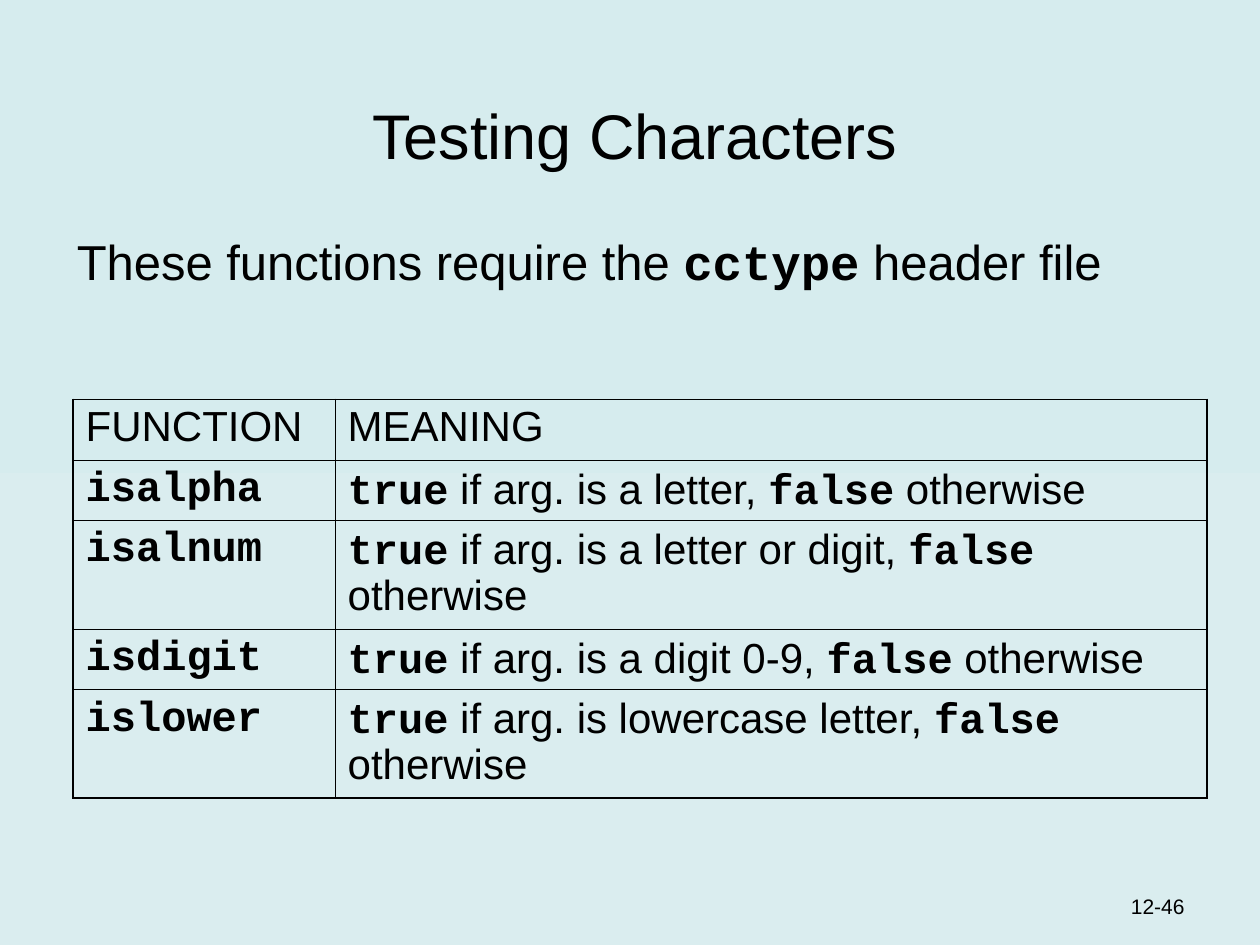
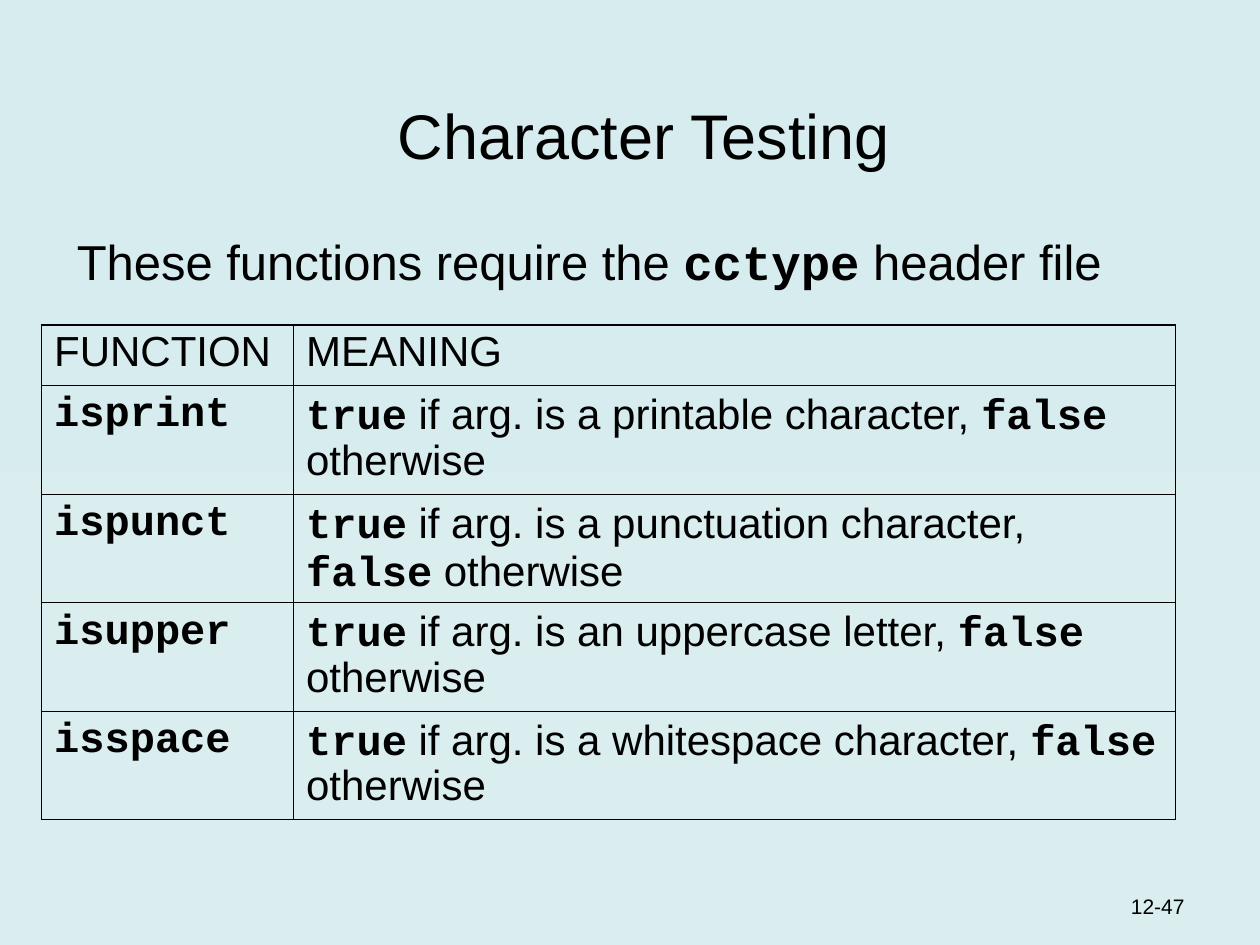
from dataclasses import dataclass

from lxml import etree
from pptx import Presentation
from pptx.dml.color import RGBColor
from pptx.enum.text import MSO_ANCHOR, MSO_AUTO_SIZE, PP_ALIGN
from pptx.oxml.ns import qn
from pptx.util import Inches, Pt

TOP, BOTTOM = MSO_ANCHOR.TOP, MSO_ANCHOR.BOTTOM
LEFT, CENTER, RIGHT = PP_ALIGN.LEFT, PP_ALIGN.CENTER, PP_ALIGN.RIGHT
NO_AUTOFIT = MSO_AUTO_SIZE.NONE
TITLE_AND_CONTENT = 1


@dataclass(frozen=True)
class Theme:
    ink: str = "000000"
    background_bottom: str = "DAEDEF"
    background_top: str = "D6ECEE"
    text_font: str = "Arial"
    code_font: str = "Courier New"
    title_size: float = 36
    body_size: float = 28
    table_size: float = 24
    number_size: float = 12
    outer_line: float = 1.08
    inner_line: float = 0.45


@dataclass(frozen=True)
class Area:
    left: float
    top: float
    width: float
    height: float


@dataclass(frozen=True)
class CharacterTest:
    function: str
    accepts: str
    height: float


@dataclass(frozen=True)
class TestPage:
    title: str
    title_inset: float
    number: str
    table_left: float
    table_top: float
    columns: tuple[float, float]
    tests: tuple[CharacterTest, ...]


THEME = Theme()
TITLE_AREA = Area(0.33, 0.33, 9.42, 1.09)
BODY_AREA = Area(0.51, 1.75, 8.63, 0.65)
NUMBER_AREA = Area(7.42, 6.84, 2.08, 0.5)
ONE_LINE, TWO_LINES = 0.48, 0.86
# Backquotes mark code within a sentence
REQUIREMENT = "These functions require the `cctype` header file"
HEADINGS = ("FUNCTION", "MEANING")

PAGES = (
    TestPage("Testing Characters", 0.1, "12-46", 0.58, 3.17, (2.08, 6.92), (
        CharacterTest("isalpha", "a letter", ONE_LINE),
        CharacterTest("isalnum", "a letter or digit", TWO_LINES),
        CharacterTest("isdigit", "a digit 0-9", ONE_LINE),
        CharacterTest("islower", "lowercase letter", TWO_LINES),
    )),
    TestPage("Character Testing", 0.24, "12-47", 0.33, 2.58, (2, 7), (
        CharacterTest("isprint", "a printable character", TWO_LINES),
        CharacterTest("ispunct", "a punctuation character", TWO_LINES),
        CharacterTest("isupper", "an uppercase letter", TWO_LINES),
        CharacterTest("isspace", "a whitespace character", TWO_LINES),
    )),
)


def write(para, text: str, size: float, align=LEFT) -> None:
    """Write a sentence, setting backquoted words in bold code type."""
    para.alignment = align
    para.space_before = Pt(0)
    pieces = [(piece, index % 2 == 1)
              for index, piece in enumerate(text.split("`")) if piece]
    all_code = all(is_code for _, is_code in pieces)
    para.font.size = Pt(size)
    para.font.color.rgb = RGBColor.from_string(THEME.ink)
    para.font.name = THEME.code_font if all_code else THEME.text_font
    para.font.bold = all_code
    for piece, is_code in pieces:
        span = para.add_run()
        span.text = piece
        if is_code and not all_code:
            span.font.name = THEME.code_font
            span.font.bold = True


def place(box, area: Area, anchor, left_inset: float = 0.1,
          right_inset: float = 0.1, top_inset: float = 0.05):
    """Move a text shape and return its first paragraph."""
    box.left, box.top = Inches(area.left), Inches(area.top)
    box.width, box.height = Inches(area.width), Inches(area.height)
    frame = box.text_frame
    frame.word_wrap = True
    frame.auto_size = NO_AUTOFIT
    frame.vertical_anchor = anchor
    frame.margin_left, frame.margin_right = Inches(left_inset), Inches(right_inset)
    frame.margin_top, frame.margin_bottom = Inches(top_inset), Inches(0.05)
    return frame.paragraphs[0]


def remove_bullet(para) -> None:
    properties = para._p.get_or_add_pPr()
    properties.set("marL", "0")
    properties.set("indent", "0")
    etree.SubElement(properties, qn("a:buNone"))


def set_borders(cell, widths: dict[str, float]) -> None:
    """Draw the cell's edges; the lines must precede its fill in the XML."""
    properties = cell._tc.get_or_add_tcPr()
    for position, (edge, width) in enumerate(widths.items()):
        line = etree.Element(qn(f"a:{edge}"), w=str(Pt(width)))
        fill = etree.SubElement(line, qn("a:solidFill"))
        etree.SubElement(fill, qn("a:srgbClr"), val=THEME.ink)
        properties.insert(position, line)


def add_test_table(page, content: TestPage) -> None:
    rows = [HEADINGS] + [
        (f"`{test.function}`", f"`true` if arg. is {test.accepts}, `false` otherwise")
        for test in content.tests
    ]
    heights = [ONE_LINE] + [test.height for test in content.tests]
    table = page.shapes.add_table(
        len(rows), len(HEADINGS), Inches(content.table_left), Inches(content.table_top),
        Inches(sum(content.columns)), Inches(sum(heights))).table
    table.first_row = table.horz_banding = False
    for column, width in zip(table.columns, content.columns):
        column.width = Inches(width)
    for row, height in zip(table.rows, heights):
        row.height = Inches(height)

    last_row, last_column = len(rows) - 1, len(HEADINGS) - 1
    for r, texts in enumerate(rows):
        for c, text in enumerate(texts):
            cell = table.cell(r, c)
            cell.fill.background()
            on_outside = {"lnL": c == 0, "lnR": c == last_column,
                          "lnT": r == 0, "lnB": r == last_row}
            set_borders(cell, {edge: THEME.outer_line if outside else THEME.inner_line
                               for edge, outside in on_outside.items()})
            para = cell.text_frame.paragraphs[0]
            para.line_spacing = 0.95
            write(para, text, THEME.table_size)


def set_background(master) -> None:
    fill = master.background.fill
    fill.gradient()
    fill.gradient_angle = 90
    colors = (THEME.background_bottom, THEME.background_top)
    for stop, color in zip(fill.gradient_stops, colors):
        stop.color.rgb = RGBColor.from_string(color)


def add_page(deck, content: TestPage) -> None:
    page = deck.slides.add_slide(deck.slide_layouts[TITLE_AND_CONTENT])

    # Title and sentence
    heading = place(page.shapes.title, TITLE_AREA, BOTTOM, content.title_inset)
    write(heading, content.title, THEME.title_size, CENTER)
    sentence = place(page.placeholders[1], BODY_AREA, TOP, right_inset=0, top_inset=0.09)
    remove_bullet(sentence)
    write(sentence, REQUIREMENT, THEME.body_size)

    add_test_table(page, content)

    # Page number
    box = page.shapes.add_textbox(0, 0, 0, 0)
    write(place(box, NUMBER_AREA, BOTTOM), content.number, THEME.number_size, RIGHT)


def main() -> None:
    deck = Presentation()
    deck.slide_width, deck.slide_height = Inches(10), Inches(7.5)
    set_background(deck.slide_master)
    for content in PAGES:
        add_page(deck, content)
    deck.save("out.pptx")


if __name__ == "__main__":
    main()
